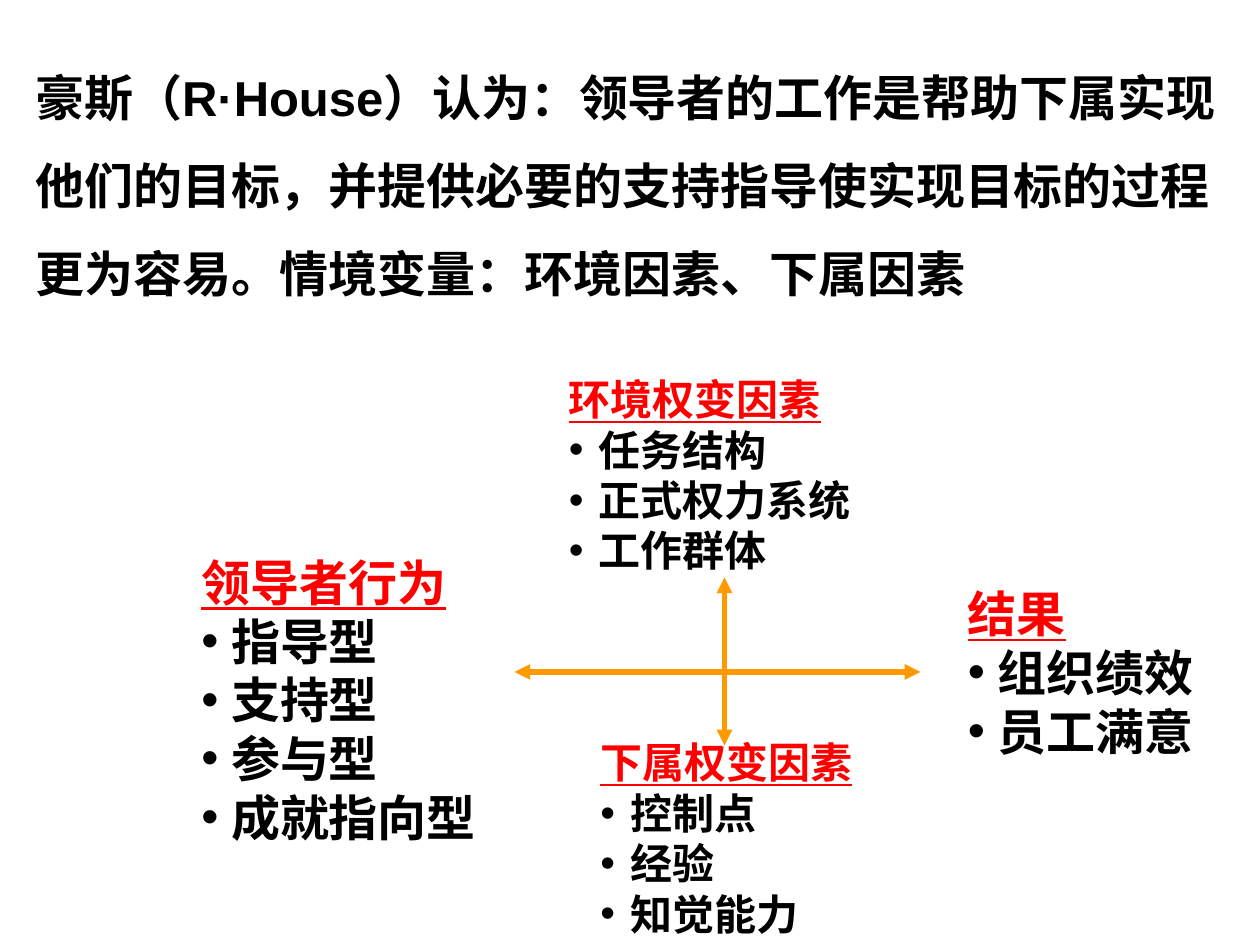
import pptx
import pptx.dml.color
import pptx.enum.shapes
import pptx.enum.text
import pptx.oxml
import pptx.oxml.ns
import pptx.util

Pt = pptx.util.Pt
Align = pptx.enum.text.PP_ALIGN
HANG = 17


def tint(code):
    return pptx.dml.color.RGBColor.from_string(code)


def add(parent, tag, **attrs):
    node = pptx.oxml.parse_xml(f"<{tag} {pptx.oxml.ns.nsdecls('a')}/>")
    for key, value in attrs.items():
        node.set(key, value)
    parent.append(node)


class Deck:
    ink, head, gold = "000000", "FF0000", "FF9900"

    def __init__(self):
        self.prs = pptx.Presentation()
        self.prs.slide_width, self.prs.slide_height = Pt(720), Pt(540)
        self.slide = self.prs.slides.add_slide(self.prs.slide_layouts[5])

    def style(self, para, size, face, color, line=False):
        for run in para.runs:
            font = run.font
            font.size, font.name = Pt(size), face
            font.bold, font.underline = True, line
            font.color.rgb = tint(color)

    def frame(self, shape):
        """Set margins, wrapping and anchor of a text shape."""
        frame = shape.text_frame
        frame.word_wrap = True
        frame.auto_size = pptx.enum.text.MSO_AUTO_SIZE.SHAPE_TO_FIT_TEXT
        frame.vertical_anchor = pptx.enum.text.MSO_ANCHOR.TOP
        frame.margin_left = frame.margin_right = Pt(7.2)
        frame.margin_top = frame.margin_bottom = Pt(3.6)
        return frame

    def title(self, text, x, y, w, h):
        shape = self.slide.shapes.title
        shape.left, shape.top, shape.width, shape.height = map(Pt, (x, y, w, h))
        frame = self.frame(shape)
        frame.text = text
        para = frame.paragraphs[0]
        para.alignment, para.line_spacing = Align.LEFT, 1.5
        self.style(para, 28, "Arial", self.ink)

    def group(self, name, items, x, y, w, h, size, align=Align.LEFT):
        """Add an underlined heading with its bullet list."""
        box = self.slide.shapes.add_textbox(*map(Pt, (x, y, w, h)))
        frame = self.frame(box)
        frame.text = "\n".join([name, *items])
        first, *rest = frame.paragraphs
        for para in frame.paragraphs:
            para.alignment = align
        self.style(first, size, "Times New Roman", self.head, True)
        for para in rest:
            props = para._p.get_or_add_pPr()
            props.set("marL", str(Pt(HANG)))
            props.set("indent", str(-Pt(HANG)))
            add(props, "a:buFont", typeface="Arial")
            add(props, "a:buChar", char="•")
            self.style(para, size, "Times New Roman", self.ink)

    def arrow(self, x1, y1, x2, y2):
        """Add a line with a head at both ends."""
        kind = pptx.enum.shapes.MSO_CONNECTOR.STRAIGHT
        link = self.slide.shapes.add_connector(kind, *map(Pt, (x1, y1, x2, y2)))
        link.line.color.rgb = tint(self.gold)
        link.line.width = Pt(3)
        line = link.line._get_or_add_ln()
        add(line, "a:headEnd", type="triangle")
        add(line, "a:tailEnd", type="triangle")
        add(link._element.spPr, "a:effectLst")


def main():
    deck = Deck()
    deck.title(
        "豪斯（R·House）认为：领导者的工作是帮助下属实现他们的目标，"
        "并提供必要的支持指导使实现目标的过程更为容易。"
        "情境变量：环境因素、下属因素",
        13, 18, 689, 158.4)
    deck.arrow(414, 330, 414, 426)
    deck.arrow(294, 384, 526, 384)
    deck.group("领导者行为", ["指导型", "支持型", "参与型", "成就指向型"],
               108, 312, 174, 175.7, 28)
    deck.group("环境权变因素", ["任务结构", "正式权力系统", "工作群体"],
               318, 210, 192, 122.4, 24, Align.JUSTIFY)
    deck.group("结果", ["组织绩效", "员工满意"],
               546, 330, 144, 108, 28, Align.JUSTIFY)
    deck.group("下属权变因素", ["控制点", "经验", "知觉能力"],
               336, 417.6, 242.6, 122.4, 24)
    deck.prs.save("out.pptx")


if __name__ == "__main__":
    main()
